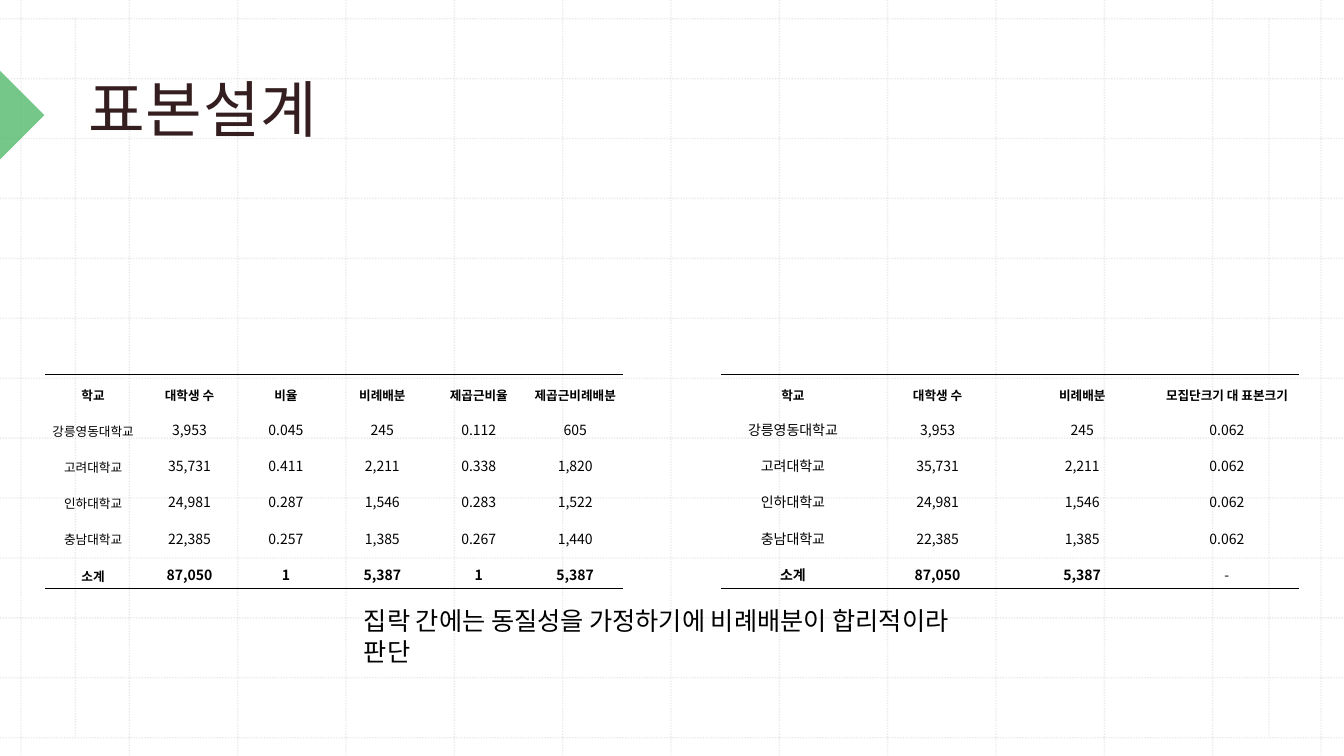
"""Build the sample design slide with its two allocation tables."""
from dataclasses import dataclass

from lxml import etree
from pptx import Presentation
from pptx.dml.color import RGBColor
from pptx.enum.dml import MSO_LINE
from pptx.enum.shapes import MSO_CONNECTOR, MSO_SHAPE
from pptx.enum.text import MSO_ANCHOR, MSO_AUTO_SIZE, PP_ALIGN
from pptx.oxml.ns import qn
from pptx.util import Cm, Pt

STRAIGHT = MSO_CONNECTOR.STRAIGHT
DOTTED = MSO_LINE.ROUND_DOT
RIGHT_TRIANGLE = MSO_SHAPE.RIGHT_TRIANGLE
MIDDLE = MSO_ANCHOR.MIDDLE
BOTTOM = MSO_ANCHOR.BOTTOM
CENTER = PP_ALIGN.CENTER
FIT_SHAPE = MSO_AUTO_SIZE.SHAPE_TO_FIT_TEXT

FONT = "Noto Sans CJK KR"
PLAIN_TABLE_STYLE = "{2D5ABB26-0587-4C30-8999-92F81FD0307C}"
BLACK, GRID_GREY, GREEN, TITLE_BROWN = "000000", "BCBCBC", "47B662", "351E1F"
SLIDE_WIDTH, SLIDE_HEIGHT = 33.87, 19.05
GRID_LEFT, GRID_TOP = 0.53, 0.47
GRID_STEP_X, GRID_STEP_Y, GRID_COUNT = 2.73, 1.51, 13
GRID_BOTTOM = 18.57
MARGIN_LINES = (1.9, 31.98)
TABLE_TOP, TABLE_WIDTH = 9.44, 14.58
HEADER_HEIGHT, ROW_HEIGHT = 0.83, 0.91
EVEN_MARGINS, RAISED_MARGINS = (0.05, 0.05), (0, 0.18)


@dataclass(frozen=True)
class GridLine:
    x1: float
    y1: float
    x2: float
    y2: float


@dataclass(frozen=True)
class AllocationTable:
    left: float
    school_size: int
    rows: tuple[tuple[str, ...], ...]


GRID_LINES = (
    [GridLine(GRID_LEFT + i * GRID_STEP_X, 0, GRID_LEFT + i * GRID_STEP_X, SLIDE_HEIGHT)
     for i in range(GRID_COUNT)]
    + [GridLine(0, GRID_TOP + i * GRID_STEP_Y, SLIDE_WIDTH, GRID_TOP + i * GRID_STEP_Y)
       for i in range(GRID_COUNT)]
    + [GridLine(x, GRID_TOP, x, GRID_BOTTOM) for x in MARGIN_LINES]
)

TABLES = (
    AllocationTable(1.13, 9, (
        ("학교", "대학생 수", "비율", "비례배분", "제곱근비율", "제곱근비례배분"),
        ("강릉영동대학교", "3,953", "0.045", "245", "0.112", "605"),
        ("고려대학교", "35,731", "0.411", "2,211", "0.338", "1,820"),
        ("인하대학교", "24,981", "0.287", "1,546", "0.283", "1,522"),
        ("충남대학교", "22,385", "0.257", "1,385", "0.267", "1,440"),
        ("소계", "87,050", "1", "5,387", "1", "5,387"),
    )),
    AllocationTable(18.16, 10, (
        ("학교", "대학생 수", "비례배분", "모집단크기 대 표본크기"),
        ("강릉영동대학교", "3,953", "245", "0.062"),
        ("고려대학교", "35,731", "2,211", "0.062"),
        ("인하대학교", "24,981", "1,546", "0.062"),
        ("충남대학교", "22,385", "1,385", "0.062"),
        ("소계", "87,050", "5,387", "-"),
    )),
)


def color(value: str) -> RGBColor:
    """Turn a hex string into a colour."""
    return RGBColor.from_string(value)


def set_opacity(element, percent: int) -> None:
    """Set the opacity of the solid colour inside an element."""
    color_element = next(element.iter(qn("a:srgbClr")))
    etree.SubElement(color_element, qn("a:alpha"), val=str(percent * 1000))


def add_run(paragraph, text: str, size: int, value: str = BLACK, bold: bool = False):
    """Add a styled run with Latin and East Asian fonts."""
    run = paragraph.add_run()
    run.text = text
    run.font.size = Pt(size)
    run.font.bold = bold
    run.font.name = FONT
    run.font.color.rgb = color(value)
    etree.SubElement(run.font._element, qn("a:ea"), typeface=FONT)
    return run


def add_grid_line(slide, line: GridLine) -> None:
    """Draw one faint dotted line."""
    connector = slide.shapes.add_connector(
        STRAIGHT, Cm(line.x1), Cm(line.y1), Cm(line.x2), Cm(line.y2))
    connector.line.color.rgb = color(GRID_GREY)
    connector.line.width = Pt(1)
    connector.line.dash_style = DOTTED
    properties = connector._element.spPr
    set_opacity(properties, 30)
    etree.SubElement(properties, qn("a:effectLst"))


def add_marker(slide) -> None:
    """Draw a translucent arrow marker at the left edge."""
    shape = slide.shapes.add_shape(RIGHT_TRIANGLE, Cm(-0.79), Cm(2.11), Cm(1.58), Cm(1.58))
    shape.rotation = 225
    shape.shadow.inherit = False
    shape.fill.solid()
    shape.fill.fore_color.rgb = color(GREEN)
    set_opacity(shape._element.spPr, 50)
    shape.line.fill.background()


def add_title(slide) -> None:
    """Add the slide title."""
    shape = slide.shapes.add_textbox(Cm(1.93), Cm(0), Cm(29.16), Cm(3.89))
    frame = shape.text_frame
    frame.word_wrap = True
    frame.vertical_anchor = BOTTOM
    frame.margin_left = frame.margin_right = frame.margin_top = Cm(0.3)
    frame.margin_bottom = Cm(0.25)
    paragraph = frame.paragraphs[0]
    paragraph.line_spacing = 1.14
    run = add_run(paragraph, "표본설계", 44, TITLE_BROWN)
    run.font._element.set("spc", "50")


def add_rule(cell, side: str) -> None:
    """Give a cell a black border on one side."""
    border = etree.Element(qn(f"a:{side}"), w=str(Pt(1)))
    fill = etree.SubElement(border, qn("a:solidFill"))
    etree.SubElement(fill, qn("a:srgbClr"), val=BLACK)
    cell._tc.get_or_add_tcPr().insert(0, border)


def fill_cell(cell, text: str, size: int, bold: bool, margins: tuple[float, float]) -> None:
    """Write centred text into an unfilled cell."""
    cell.fill.background()
    cell.vertical_anchor = MIDDLE
    cell.margin_left = cell.margin_right = Cm(0.18)
    cell.margin_top, cell.margin_bottom = map(Cm, margins)
    paragraph = cell.text_frame.paragraphs[0]
    paragraph.alignment = CENTER
    paragraph.line_spacing = 1.6
    add_run(paragraph, text, size, bold=bold)


def add_allocation_table(slide, allocation: AllocationTable) -> None:
    """Draw an allocation table ruled above and below."""
    rows = allocation.rows
    last = len(rows) - 1
    height = HEADER_HEIGHT + last * ROW_HEIGHT
    frame = slide.shapes.add_table(
        len(rows), len(rows[0]), Cm(allocation.left), Cm(TABLE_TOP), Cm(TABLE_WIDTH), Cm(height))
    table = frame.table
    table.first_row = table.horz_banding = False
    table._tbl.tblPr.find(qn("a:tableStyleId")).text = PLAIN_TABLE_STYLE
    for row_index, row in enumerate(rows):
        table.rows[row_index].height = Cm(ROW_HEIGHT if row_index else HEADER_HEIGHT)
        for column_index, text in enumerate(row):
            cell = table.cell(row_index, column_index)
            size = 9 if row_index == 0 else 10 if column_index else allocation.school_size
            bold = row_index in (0, last) and text != "-"
            margins = EVEN_MARGINS if row_index and size == 9 else RAISED_MARGINS
            fill_cell(cell, text, size, bold, margins)
            if row_index == 0:
                add_rule(cell, "lnT")
            elif row_index == last:
                add_rule(cell, "lnB")


def add_conclusion(slide) -> None:
    """Add the conclusion below the tables."""
    shape = slide.shapes.add_textbox(Cm(8.92), Cm(15.14), Cm(16.03), Cm(1.02))
    frame = shape.text_frame
    frame.word_wrap = True
    frame.auto_size = FIT_SHAPE
    add_run(frame.paragraphs[0], "집락 간에는 동질성을 가정하기에 비례배분이 합리적이라 판단", 18)


def main() -> None:
    """Build and save the presentation."""
    presentation = Presentation()
    presentation.slide_width = Cm(SLIDE_WIDTH)
    presentation.slide_height = Cm(SLIDE_HEIGHT)
    slide = presentation.slides.add_slide(presentation.slide_layouts[6])
    for line in GRID_LINES:
        add_grid_line(slide, line)
    for _ in range(2):
        add_marker(slide)
    add_title(slide)
    for allocation in TABLES:
        add_allocation_table(slide, allocation)
    add_conclusion(slide)
    presentation.save("out.pptx")


if __name__ == "__main__":
    main()
